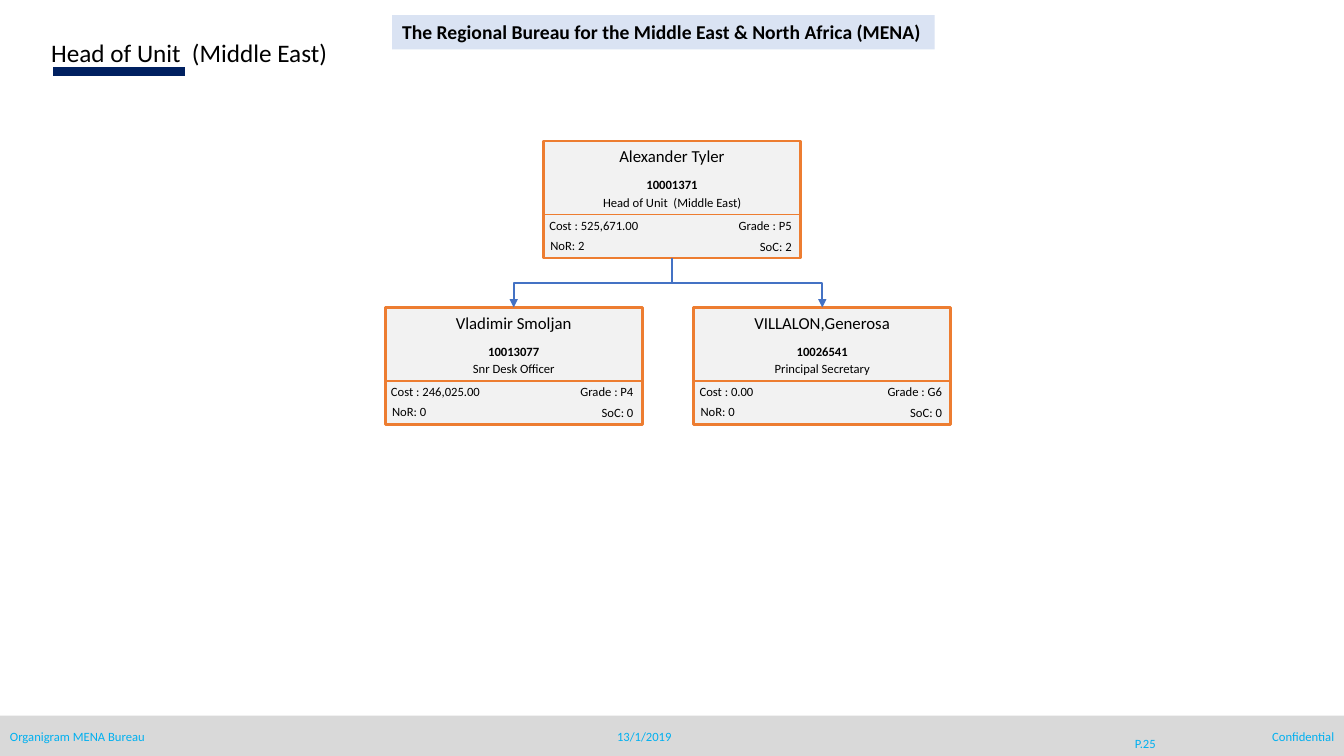
from lxml import etree
from pptx import Presentation
from pptx.dml.color import RGBColor
from pptx.enum import shapes, text
from pptx.oxml import ns
from pptx.util import Inches, Pt

COLORS = {
    "black": "000000", "navy": "002060", "footer": "D9D9D9", "footer_text": "00B0F0",
    "card": "F2F2F2", "border": "ED7D31", "link": "4472C4", "banner": "DAE3F3",
}
FONT = "Calibri"
LEFT, CENTER, RIGHT = text.PP_ALIGN.LEFT, text.PP_ALIGN.CENTER, text.PP_ALIGN.RIGHT
SLIDE_W, SLIDE_H = 13.33, 7.5
CARD_W, CARD_H = 2.55, 1.16


def rgb(name):
    return RGBColor.from_string(COLORS[name])


def add_label(slide, box, words, size=9, color="black", bold=False, align=LEFT,
              anchor=text.MSO_ANCHOR.TOP, wrap=True):
    label = slide.shapes.add_textbox(*map(Inches, box))
    frame = label.text_frame
    frame.word_wrap = wrap
    frame.vertical_anchor = anchor
    paragraph = frame.paragraphs[0]
    paragraph.text = words
    paragraph.alignment = align
    font = paragraph.font
    font.name, font.size, font.bold = FONT, Pt(size), bold
    font.color.rgb = rgb(color)
    return label


def add_panel(slide, box, fill, border=None):
    panel = slide.shapes.add_shape(shapes.MSO_SHAPE.RECTANGLE, *map(Inches, box))
    panel.shadow.inherit = False
    panel.fill.solid()
    panel.fill.fore_color.rgb = rgb(fill)
    if border:
        panel.line.color.rgb = rgb(border)
        panel.line.width = Pt(2)
    else:
        panel.line.fill.background()
    return panel


def add_line(slide, start, end, color, width, kind=shapes.MSO_CONNECTOR.STRAIGHT):
    line = slide.shapes.add_connector(kind, *map(Inches, (*start, *end)))
    line.line.color.rgb = rgb(color)
    line.line.width = Pt(width)
    etree.SubElement(line._element.spPr, ns.qn("a:effectLst"))
    return line


def add_header(slide, left, top):
    add_line(slide, (left + 0.12, top + 0.39), (left + 1.43, top + 0.39), "navy", 7)
    add_label(slide, (left, top, 5.3, 0.41), "Head of Unit  (Middle East)", 18)


def add_banner(slide, box):
    banner = add_label(slide, box, "The Regional Bureau for the Middle East & North Africa (MENA)",
                       14, bold=True, wrap=False)
    banner.fill.solid()
    banner.fill.fore_color.rgb = rgb("banner")


def add_footer(slide, top):
    add_panel(slide, (0, top, SLIDE_W, 0.41), "footer")
    middle = text.MSO_ANCHOR.MIDDLE
    for words, left, width, height, align, anchor in (
        ("Organigram MENA Bureau", 0, 3.08, 0.25, LEFT, text.MSO_ANCHOR.TOP),
        ("13/1/2019", 5.95, 0.88, 0.25, CENTER, middle),
        ("P.25", 10.96, 0.8, 0.4, CENTER, middle),
        ("Confidential", SLIDE_W - 3.08, 3.08, 0.25, RIGHT, text.MSO_ANCHOR.TOP),
    ):
        add_label(slide, (left, top + 0.08, width, height), words, color="footer_text",
                  align=align, anchor=anchor)


def add_card(slide, left, top, name, number, role, cost, grade, reports, span):
    """Draw one post: holder above the divider, figures below it."""
    card = add_panel(slide, (left, top, CARD_W, CARD_H), "card", "border")
    add_label(slide, (left, top, CARD_W, 0.31), name, 12, align=CENTER)
    add_label(slide, (left, top + 0.31, CARD_W, 0.25), number, bold=True, align=CENTER)
    add_label(slide, (left, top + 0.48, CARD_W, 0.25), role, align=CENTER)
    add_line(slide, (left, top + 0.73), (left + CARD_W, top + 0.73), "border", 1)

    right = left + CARD_W + 0.01
    add_label(slide, (left - 0.04, top + 0.71, 1.23, 0.25), f"Cost : {cost}")
    add_label(slide, (right - 1.22, top + 0.71, 1.22, 0.25), f"Grade : {grade}", align=RIGHT)
    add_label(slide, (left - 0.03, top + 0.91, 0.79, 0.25), f"NoR: {reports}")
    add_label(slide, (right - 1.02, top + 0.92, 1.02, 0.25), f"SoC: {span}", align=RIGHT)
    return card


def add_report_link(slide, manager, report):
    """Join two cards with an elbow that leaves downwards, so its box is turned a quarter."""
    link = add_line(slide, (0, 0), (1, 1), "link", 1.5, shapes.MSO_CONNECTOR.ELBOW)
    link.begin_connect(manager, 2)
    link.end_connect(report, 0)

    start_x, start_y = manager.left + manager.width // 2, manager.top + manager.height
    end_x, end_y = report.left + report.width // 2, report.top
    drop, reach = end_y - start_y, abs(end_x - start_x)
    link.left = (start_x + end_x - drop) // 2
    link.top = (start_y + end_y - reach) // 2
    link.width, link.height = drop, reach

    xfrm = link._element.spPr.find(ns.qn("a:xfrm"))
    for flip in ("flipH", "flipV"):
        xfrm.attrib.pop(flip, None)
    goes_right = end_x > start_x
    xfrm.set("rot", str((270 if goes_right else 90) * 60000))
    if goes_right:
        xfrm.set("flipH", "1")
    etree.SubElement(link.line._get_or_add_ln(), ns.qn("a:tailEnd"), type="triangle")


def add_organigram(slide, left, top):
    head = add_card(slide, left + 1.57, top, "Alexander Tyler", "10001371",
                    "Head of Unit  (Middle East)", "525,671.00", "P5", 2, 2)
    staff = (
        ("Vladimir Smoljan", "10013077", "Snr Desk Officer", "246,025.00", "P4", 0, 0),
        ("VILLALON,Generosa", "10026541", "Principal Secretary", "0.00", "G6", 0, 0),
    )
    for column, post in enumerate(staff):
        card = add_card(slide, left + column * 3.06, top + 1.65, *post)
        add_report_link(slide, head, card)


def main():
    deck = Presentation()
    deck.slide_width, deck.slide_height = Inches(SLIDE_W), Inches(SLIDE_H)
    slide = deck.slides.add_slide(deck.slide_layouts[6])
    add_footer(slide, 7.1)
    add_header(slide, 0.41, 0.32)
    add_organigram(slide, 3.82, 1.4)
    add_banner(slide, (3.89, 0.15, 5.38, 0.34))
    deck.save("out.pptx")


if __name__ == "__main__":
    main()
